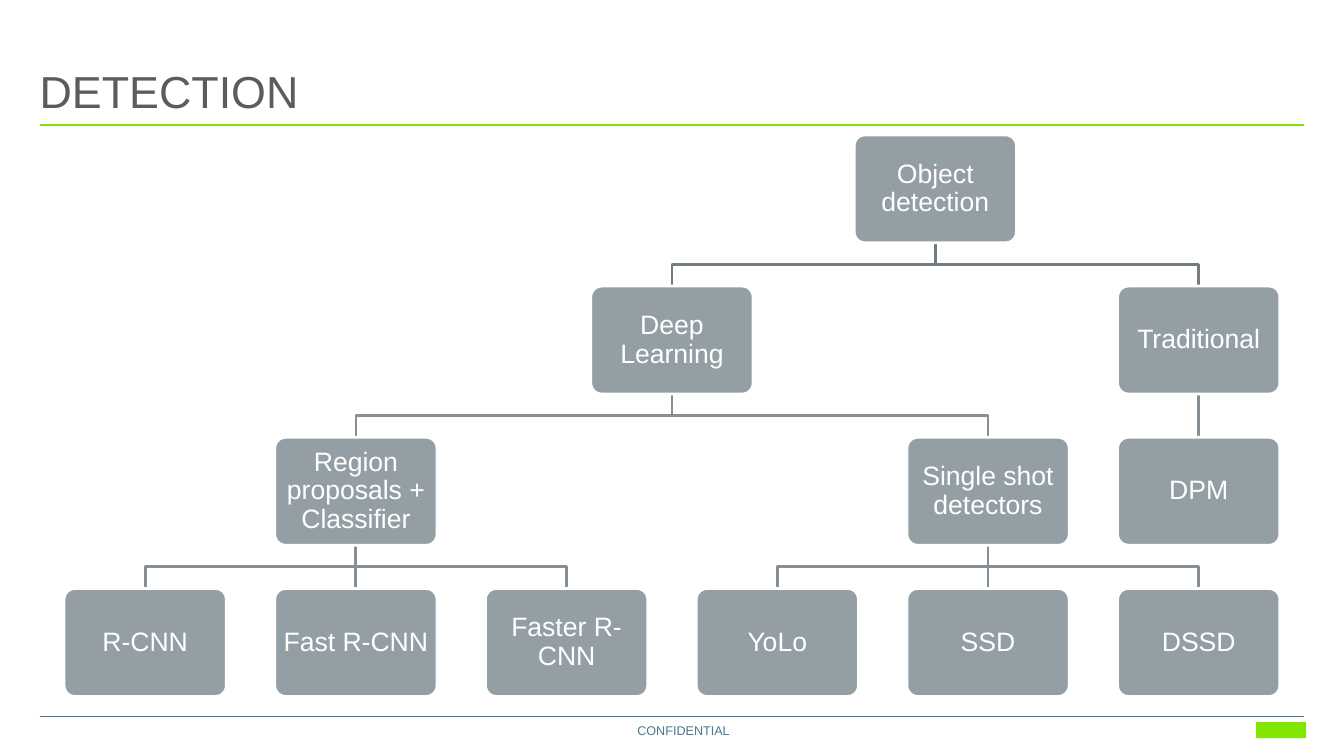
from dataclasses import dataclass

from lxml.etree import SubElement
from pptx import Presentation
from pptx.dml.color import RGBColor
from pptx.enum.shapes import MSO_CONNECTOR, MSO_SHAPE
from pptx.enum.text import MSO_ANCHOR, PP_ALIGN
from pptx.oxml.ns import qn
from pptx.util import Cm, Pt

FONT = "Arial"
GREEN, BLUE, WHITE = "82E600", "4B788C", "FFFFFF"
GREY, SLATE, STEEL, DARK = "949FA5", "858F95", "737D81", "5C5C5C"

# Tree grid in centimetres
LEFT, TOP = 3.66, 3.4
COL, ROW = 5.31, 3.81
WIDE, HIGH = 4.09, 2.72


@dataclass
class Node:
    text: str
    col: float = 0
    kids: tuple["Node", ...] = ()

    @property
    def place(self) -> float:
        """Column of a leaf, or the middle of the outer kids."""
        if not self.kids:
            return self.col
        return (self.kids[0].place + self.kids[-1].place) / 2

    @property
    def mid(self) -> float:
        return LEFT + COL * self.place


TREE = Node("Object detection", kids=(
    Node("Deep Learning", kids=(
        Node("Region proposals + Classifier", kids=(
            Node("R-CNN", 0), Node("Fast R-CNN", 1), Node("Faster R-CNN", 2))),
        Node("Single shot detectors", kids=(
            Node("YoLo", 3), Node("SSD", 4), Node("DSSD", 5))))),
    Node("Traditional", kids=(Node("DPM", 5),))))

deck = Presentation()
deck.slide_width, deck.slide_height = Cm(33.87), Cm(19.05)
slide = deck.slides.add_slide(deck.slide_layouts[6])
shapes = slide.shapes


def paint(code: str) -> RGBColor:
    return RGBColor.from_string(code)


def write(shape, text: str, size: float, tint: str, align: PP_ALIGN,
          anchor: MSO_ANCHOR, pads: tuple[float, ...], space: float = 1) -> None:
    frame = shape.text_frame
    frame.text = text
    frame.word_wrap = True
    frame.vertical_anchor = anchor
    (frame.margin_left, frame.margin_top,
     frame.margin_right, frame.margin_bottom) = map(Cm, pads)
    par = frame.paragraphs[0]
    par.alignment, par.line_spacing = align, space
    font = par.runs[0].font
    font.name, font.size = FONT, Pt(size)
    font.color.rgb = paint(tint)


def rule(x1: float, y1: float, x2: float, y2: float, tint: str, size: float) -> None:
    line = shapes.add_connector(MSO_CONNECTOR.STRAIGHT, Cm(x1), Cm(y1), Cm(x2), Cm(y2))
    line.line.color.rgb, line.line.width = paint(tint), Pt(size)
    SubElement(line._element.spPr, qn("a:effectLst"))


def link(x1: float, y1: float, x2: float, y2: float, tint: str) -> None:
    """Join a parent to a kid, bending halfway down."""
    if x1 == x2:
        rule(x1, y1, x2, y2, tint, 2)
        return
    bend = Cm((y1 + y2) / 2)
    form = shapes.build_freeform(Cm(x1), Cm(y1))
    form.add_line_segments([(Cm(x1), bend), (Cm(x2), bend), (Cm(x2), Cm(y2))], close=False)
    path = form.convert_to_shape()
    path.shadow.inherit = False
    path.fill.background()
    path.line.color.rgb, path.line.width = paint(tint), Pt(2)


def draw(node: Node, level: int = 0) -> None:
    """Draw the links, then the box, then the kids."""
    top = TOP + ROW * level
    for kid in node.kids:
        link(node.mid, top + HIGH, kid.mid, top + ROW, SLATE if level else STEEL)
    box = shapes.add_shape(MSO_SHAPE.ROUNDED_RECTANGLE, Cm(node.mid - WIDE / 2),
                           Cm(top), Cm(WIDE), Cm(HIGH))
    box.adjustments[0] = 0.1
    box.shadow.inherit = False
    box.fill.solid()
    box.fill.fore_color.rgb = paint(GREY)
    box.line.color.rgb, box.line.width = paint(WHITE), Pt(2)
    write(box, node.text, 19, WHITE, PP_ALIGN.CENTER, MSO_ANCHOR.MIDDLE,
          (0.1, 0.2, 0.1, 0.2), 0.9)
    for kid in node.kids:
        draw(kid, level + 1)


# Title and rules
rule(1, 3.15, 32.87, 3.15, GREEN, 1.5)
rule(1, 18.06, 32.87, 18.06, BLUE, 1)
title = shapes.add_textbox(Cm(1), Cm(1.27), Cm(18.19), Cm(1.9))
write(title, "DETECTION", 32, DARK, PP_ALIGN.LEFT, MSO_ANCHOR.BOTTOM, (0, 0, 0, 0.2), 0.9)

# Footer
note = shapes.add_textbox(Cm(15.89), Cm(18.11), Cm(2.5), Cm(0.48))
write(note, "CONFIDENTIAL", 9, BLUE, PP_ALIGN.RIGHT, MSO_ANCHOR.TOP, (0, 0.1, 0, 0))
badge = shapes.add_shape(MSO_SHAPE.RECTANGLE, Cm(31.65), Cm(18.2), Cm(1.27), Cm(0.4))
badge.shadow.inherit = False
badge.fill.solid()
badge.fill.fore_color.rgb = paint(GREEN)
badge.line.fill.background()

# Tree
draw(TREE)

deck.save("out.pptx")
